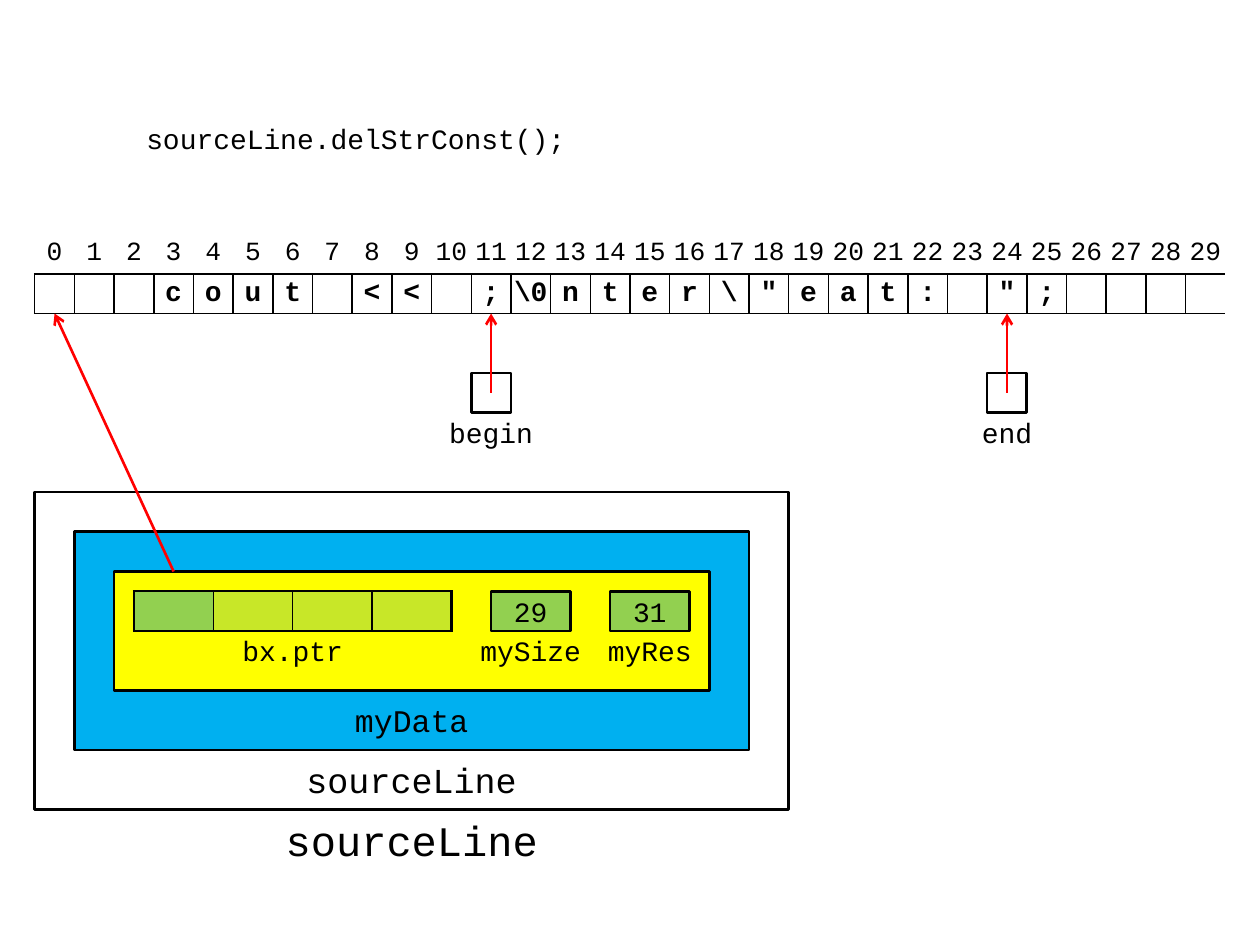
from dataclasses import dataclass

from lxml import etree
from pptx import Presentation
from pptx.dml.color import RGBColor
from pptx.enum.shapes import MSO_CONNECTOR, MSO_SHAPE
from pptx.enum.text import MSO_ANCHOR, PP_ALIGN
from pptx.oxml.ns import qn
from pptx.util import Cm, Inches, Pt

PROCESS, RECTANGLE = MSO_SHAPE.FLOWCHART_PROCESS, MSO_SHAPE.RECTANGLE
STRAIGHT = MSO_CONNECTOR.STRAIGHT
TOP, MIDDLE = MSO_ANCHOR.TOP, MSO_ANCHOR.MIDDLE
LEFT, CENTER = PP_ALIGN.LEFT, PP_ALIGN.CENTER
NO_TABLE_STYLE = "{2D5ABB26-0587-4C30-8999-92F81FD0307C}"

UNIT = 0.8  # side of one grid square, cm
ORIGIN_X, ORIGIN_Y = 0.7, 4.72  # top left of the character array, cm


@dataclass(frozen=True)
class Theme:
    font: str = "Courier New"
    ink: str = "000000"
    paper: str = "FFFFFF"
    pointer: str = "FF0000"
    data: str = "00B0F0"
    body: str = "FFFF00"
    field: str = "92D050"
    index_size: int = 15
    text_size: int = 16
    data_size: int = 18
    member_size: int = 20
    object_size: int = 24
    thick: float = 1.5
    thin: float = 1


THEME = Theme()


@dataclass(frozen=True)
class Box:
    """A rectangle in grid columns and rows."""
    column: float
    row: float
    width: float
    height: float

    def inner(self, column, row, width, height):
        return Box(self.column + column, self.row + row, width, height)

    def place(self):
        return (grid_x(self.column), grid_y(self.row),
                Cm(self.width * UNIT), Cm(self.height * UNIT))


def grid_x(column):
    return Cm(ORIGIN_X + column * UNIT)


def grid_y(row):
    return Cm(ORIGIN_Y + row * UNIT)


def write(frame, text, size=THEME.text_size, bold=False, align=CENTER):
    paragraph = frame.paragraphs[0]
    paragraph.alignment = align
    if text:
        run = paragraph.add_run()
        run.text = text
        run.font.name, run.font.size, run.font.bold = THEME.font, Pt(size), bold
        run.font.color.rgb = RGBColor.from_string(THEME.ink)
    return paragraph


def add_box(slide, box, text="", fill=None, kind=PROCESS):
    """Outlined when filled; otherwise a bare label."""
    shape = slide.shapes.add_shape(kind, *box.place())
    shape.shadow.inherit = False
    if fill:
        shape.fill.solid()
        shape.fill.fore_color.rgb = RGBColor.from_string(fill)
        shape.line.color.rgb = RGBColor.from_string(THEME.ink)
        shape.line.width = Pt(THEME.thick)
    else:
        shape.fill.background()
        shape.line.fill.background()
    shape.text_frame.word_wrap = False
    shape.text_frame.vertical_anchor = MIDDLE
    write(shape.text_frame, text)


def add_caption(slide, box, text, size, anchor=MIDDLE, align=CENTER):
    frame = slide.shapes.add_textbox(*box.place()).text_frame
    frame.word_wrap = True
    frame.vertical_anchor = anchor
    if anchor == MIDDLE:
        frame.margin_top = frame.margin_bottom = 0
    return write(frame, text, size=size, align=align)


def add_arrow(slide, start, end):
    arrow = slide.shapes.add_connector(
        STRAIGHT, grid_x(start[0]), grid_y(start[1]), grid_x(end[0]), grid_y(end[1]))
    arrow.line.color.rgb = RGBColor.from_string(THEME.pointer)
    arrow.line.width = Pt(THEME.thick)
    line = arrow.line._get_or_add_ln()
    etree.SubElement(line, qn("a:tailEnd"), type="arrow")
    etree.SubElement(arrow._element.spPr, qn("a:effectLst"))


def add_table(slide, box, rows, columns):
    table = slide.shapes.add_table(rows, columns, *box.place()).table
    table.first_row = table.horz_banding = False
    table._tbl.tblPr.find(qn("a:tableStyleId")).text = NO_TABLE_STYLE
    for column in table.columns:
        column.width = Cm(box.width * UNIT / columns)
    for row in table.rows:
        row.height = Cm(box.height * UNIT / rows)
    for cell in table.iter_cells():
        cell.margin_left = cell.margin_right = cell.margin_top = cell.margin_bottom = 0
        cell.vertical_anchor = MIDDLE
    return table


def set_borders(cell, **widths):
    """Widths in points by side L, R, T, B; call before filling the cell."""
    properties = cell._tc.get_or_add_tcPr()
    for side in "LRTB":
        if side in widths:
            line = etree.SubElement(properties, qn(f"a:ln{side}"), w=str(Pt(widths[side])))
            solid = etree.SubElement(line, qn("a:solidFill"))
            etree.SubElement(solid, qn("a:srgbClr"), val=THEME.ink)


def draw_statement(slide, box, text):
    paragraph = add_caption(slide, box, text, THEME.text_size, anchor=TOP, align=LEFT)
    paragraph.space_before = Pt(2)


def draw_character_array(slide, box, characters):
    table = add_table(slide, box, 2, len(characters))
    for index, character in enumerate(characters):
        heading, cell = table.cell(0, index), table.cell(1, index)
        write(heading.text_frame, str(index), size=THEME.index_size)
        write(cell.text_frame, character.strip(), bold=True)
        set_borders(heading, B=THEME.thin)
        sides = "LTB" if index == len(characters) - 1 else "LRTB"
        set_borders(cell, **dict.fromkeys(sides, THEME.thin))
        heading.fill.background()
        cell.fill.background()


def draw_marker(slide, box, name, label_width):
    """A one-square pointer variable aimed at the array above it."""
    middle = box.width / 2
    add_box(slide, box, fill=THEME.paper, kind=RECTANGLE)
    add_box(slide, box.inner(middle - label_width / 2, 1, label_width, 1), name)
    center = box.column + middle
    add_arrow(slide, (center, box.row + 0.5), (center, box.row - 1.5))


def draw_pointer_field(slide, box):
    table = add_table(slide, box, 1, 4)
    for index, cell in enumerate(table.iter_cells()):
        set_borders(cell, L=THEME.thin if index else THEME.thick,
                    R=THEME.thin if index < 3 else THEME.thick,
                    T=THEME.thick, B=THEME.thick)
        cell.fill.solid()
        cell.fill.fore_color.rgb = RGBColor.from_string(THEME.field)
        if index:
            color = cell._tc.tcPr.find(qn("a:solidFill")).find(qn("a:srgbClr"))
            etree.SubElement(color, qn("a:alpha"), val="50000")
    add_box(slide, box.inner(2.5, 1, 3, 1), "bx.ptr")


def draw_object(slide, box):
    add_box(slide, box, fill=THEME.paper)
    add_box(slide, box.inner(1, 1, box.width - 2, 5.5), fill=THEME.data)
    body = box.inner(2, 2, box.width - 4, 3)
    add_box(slide, body, fill=THEME.body)
    captions = (("sourceLine", THEME.object_size, 8, 8),
                ("sourceLine", THEME.member_size, 6.5, 6),
                ("myData", THEME.data_size, 5, 4))
    for text, size, row, width in captions:
        add_caption(slide, box.inner((box.width - width) / 2, row, width, 1.5), text, size)
    draw_pointer_field(slide, body.inner(0.5, 0.5, 8, 1))
    for name, value, column in (("mySize", "29", 9.5), ("myRes", "31", 12.5)):
        add_box(slide, body.inner(column, 0.5, 2, 1), value, THEME.field, RECTANGLE)
        add_box(slide, body.inner(column - 0.5, 1.5, 3, 1), name)
    add_arrow(slide, (body.column + 1.5, body.row), (0.5, 2))


def main():
    presentation = Presentation()
    presentation.slide_width, presentation.slide_height = Inches(10), Inches(7.5)
    slide = presentation.slides.add_slide(presentation.slide_layouts[6])
    characters = [*"   cout << ;", "\\0", *'nter\\"eat: ";    ']
    draw_statement(slide, Box(2.5, -3, 11.5, 1.5), "sourceLine.delStrConst();")
    draw_character_array(slide, Box(0, 0, len(characters), 2), characters)
    draw_object(slide, Box(0, 6.5, 19, 8))
    for name, index, label_width in (("begin", 11, 3), ("end", 24, 2)):
        draw_marker(slide, Box(index, 3.5, 1, 1), name, label_width)
    presentation.save("out.pptx")


if __name__ == "__main__":
    main()
